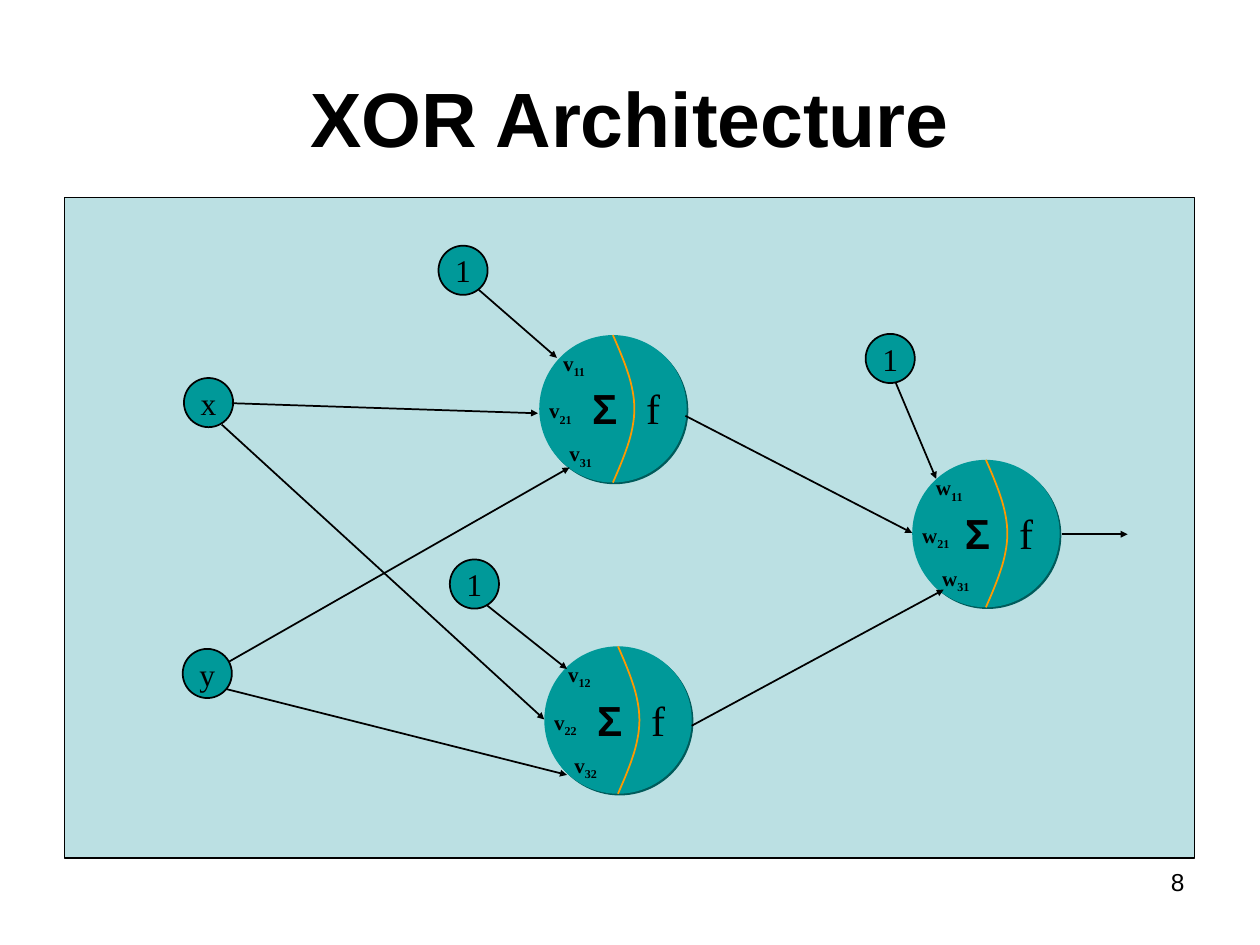
import pptx
import pptx.util
import pptx.dml.color
import pptx.enum.shapes
import pptx.enum.text
import pptx.oxml
import pptx.oxml.ns
from lxml import etree

Inches = pptx.util.Inches
Pt = pptx.util.Pt
RGBColor = pptx.dml.color.RGBColor
Align = pptx.enum.text.PP_ALIGN
Anchor = pptx.enum.text.MSO_ANCHOR
AutoSize = pptx.enum.text.MSO_AUTO_SIZE
qn = pptx.oxml.ns.qn

BLACK = RGBColor(0x00, 0x00, 0x00)
PANEL_BLUE = RGBColor(0xBB, 0xE0, 0xE3)
TEAL = RGBColor(0x00, 0x99, 0x99)
SHADOW_TEAL = RGBColor(0x00, 0x5B, 0x5B)
ORANGE = RGBColor(0xFF, 0x99, 0x00)

SANS = "Arial"
SERIF = "Times New Roman"
NODE_SIZE = 0.39
NEURON_SIZE = 1.17

# Positions inside the panel, in inches
NODES = [("x", 0.95, 1.43), ("y", 0.94, 3.58),
         ("1", 2.97, 0.38), ("1", 3.06, 2.87), ("1", 6.36, 1.08)]
NEURONS = [("v", 1, 3.77, 1.09), ("v", 2, 3.81, 3.56), ("w", 1, 6.73, 2.08)]
ARROWS = [
    ((3.35, 3.23), (3.99, 3.74)),  # biases to the hidden neurons
    ((3.29, 0.73), (3.91, 1.27)),
    ((1.33, 1.63), (3.76, 1.71)),  # x to the hidden neurons
    ((1.25, 1.80), (3.81, 4.14)),
    ((1.31, 3.68), (4.01, 2.14)),  # y to the hidden neurons
    ((1.29, 3.90), (3.99, 4.58)),
    ((6.60, 1.47), (6.92, 2.23)),  # bias and hidden neurons to the output
    ((4.93, 1.73), (6.73, 2.66)),
    ((4.98, 4.19), (6.98, 3.11)),
    ((7.92, 2.67), (8.44, 2.67)),  # result
]
# Weight labels inside a neuron: left, top
WEIGHT_PLACES = [(0.09, 0.07), (-0.02, 0.45), (0.14, 0.79)]


def format_text(shape, size, font_name, bold=False, align=Align.LEFT):
    for paragraph in shape.text_frame.paragraphs:
        paragraph.alignment = align
        for run in paragraph.runs:
            run.font.size = Pt(size)
            run.font.name = font_name
            run.font.bold = bold
            run.font.color.rgb = BLACK


def add_label(shapes, text, left, top, width, height, size, font_name,
              bold=False, align=Align.LEFT, wrap=False, subscript=""):
    shape = shapes.add_textbox(Inches(left), Inches(top), Inches(width), Inches(height))
    shape.text_frame.text = text
    shape.text_frame.word_wrap = wrap
    if not wrap:
        shape.text_frame.auto_size = AutoSize.SHAPE_TO_FIT_TEXT
    if subscript:
        run = shape.text_frame.paragraphs[0].add_run()
        run.text = subscript
        run.font._element.set("baseline", "-25000")
    format_text(shape, size, font_name, bold, align)
    return shape


def add_filled(shapes, kind, left, top, width, height, color, line_width=0):
    shape = shapes.add_shape(kind, Inches(left), Inches(top), Inches(width), Inches(height))
    shape.shadow.inherit = False
    shape.fill.solid()
    shape.fill.fore_color.rgb = color
    if line_width:
        shape.line.color.rgb = BLACK
        shape.line.width = Pt(line_width)
    else:
        shape.line.fill.background()
    return shape


def add_node(shapes, text, left, top):
    shape = add_filled(shapes, pptx.enum.shapes.MSO_SHAPE.OVAL, left, top,
                       NODE_SIZE, NODE_SIZE, TEAL, 1)
    shape.text_frame.text = text
    shape.text_frame.word_wrap = False
    shape.text_frame.vertical_anchor = Anchor.MIDDLE
    format_text(shape, 18, SERIF, align=Align.CENTER)


def add_hard_shadow(shape):
    effects = shape._element.spPr.find(qn("a:effectLst"))
    shadow = etree.SubElement(effects, qn("a:outerShdw"), dist=str(Pt(1.4)),
                              dir="2700000", algn="ctr", rotWithShape="0")
    etree.SubElement(shadow, qn("a:srgbClr"), val=str(SHADOW_TEAL))


def add_divider(shapes, left, top):
    """Arc from the top to the bottom of a neuron, bulging to the right."""
    bulge, half, steps = 0.17, NEURON_SIZE / 2, 16
    upper = []
    for step in range(steps + 1):
        t = step / steps
        x = bulge * (1.5 * t * (1 - t) ** 2 + 3 * t ** 2 * (1 - t) + t ** 3)
        upper.append((x, half * t))
    lower = [(x, NEURON_SIZE - y) for x, y in reversed(upper[:-1])]
    points = [(Inches(left + x), Inches(top + y)) for x, y in upper + lower]
    builder = shapes.build_freeform(*points[0])
    builder.add_line_segments(points[1:], close=False)
    divider = builder.convert_to_shape()
    divider.shadow.inherit = False
    divider.fill.background()
    divider.line.color.rgb = ORANGE
    divider.line.width = Pt(1)


def add_neuron(shapes, letter, number, left, top):
    body = add_filled(shapes, pptx.enum.shapes.MSO_SHAPE.OVAL, left, top,
                      NEURON_SIZE, NEURON_SIZE, TEAL)
    add_hard_shadow(body)
    add_divider(shapes, left + NEURON_SIZE / 2, top)
    add_label(shapes, "f", left + 0.75, top + 0.33, 0.31, 0.5, 24, SERIF)
    add_label(shapes, "Σ", left + 0.32, top + 0.33, 0.39, 0.5, 24, SANS, bold=True)
    width = 0.43 if letter == "w" else 0.39
    for row, (x, y) in enumerate(WEIGHT_PLACES, start=1):
        add_label(shapes, letter, left + x, top + y, width, 0.33, 12, SERIF,
                  bold=True, subscript=f"{row}{number}")


def add_arrow(shapes, start, end):
    arrow = shapes.add_connector(pptx.enum.shapes.MSO_CONNECTOR.STRAIGHT,
                                 *(Inches(value) for value in start + end))
    arrow.line.color.rgb = BLACK
    arrow.line.width = Pt(1)
    etree.SubElement(arrow.line._get_or_add_ln(), qn("a:tailEnd"),
                     type="triangle", w="sm", len="sm")
    etree.SubElement(arrow._element.spPr, qn("a:effectLst"))


def add_network(shapes, left, top, width, height):
    # Panel
    add_filled(shapes, pptx.enum.shapes.MSO_SHAPE.RECTANGLE,
               left, top, width, height, PANEL_BLUE, 0.75)
    # Neurons, inputs and biases
    for letter, number, x, y in NEURONS:
        add_neuron(shapes, letter, number, left + x, top + y)
    for text, x, y in NODES:
        add_node(shapes, text, left + x, top + y)
    # Connections
    for start, end in ARROWS:
        add_arrow(shapes, (left + start[0], top + start[1]),
                  (left + end[0], top + end[1]))


def main():
    presentation = pptx.Presentation()
    presentation.slide_width = Inches(10)
    presentation.slide_height = Inches(7.5)
    slide = presentation.slides.add_slide(presentation.slide_layouts[6])
    # Title
    title = add_label(slide.shapes, "XOR Architecture", 0.5, 0.3, 9, 1.25, 44, SANS,
                      bold=True, align=Align.CENTER, wrap=True)
    title.text_frame.vertical_anchor = Anchor.MIDDLE
    # Network diagram
    add_network(slide.shapes, 0.51, 1.57, 8.97, 5.24)
    # Page number
    add_label(slide.shapes, "8", 7.17, 6.83, 2.33, 0.52, 14, SANS,
              align=Align.RIGHT, wrap=True)
    presentation.save("out.pptx")


if __name__ == "__main__":
    main()
